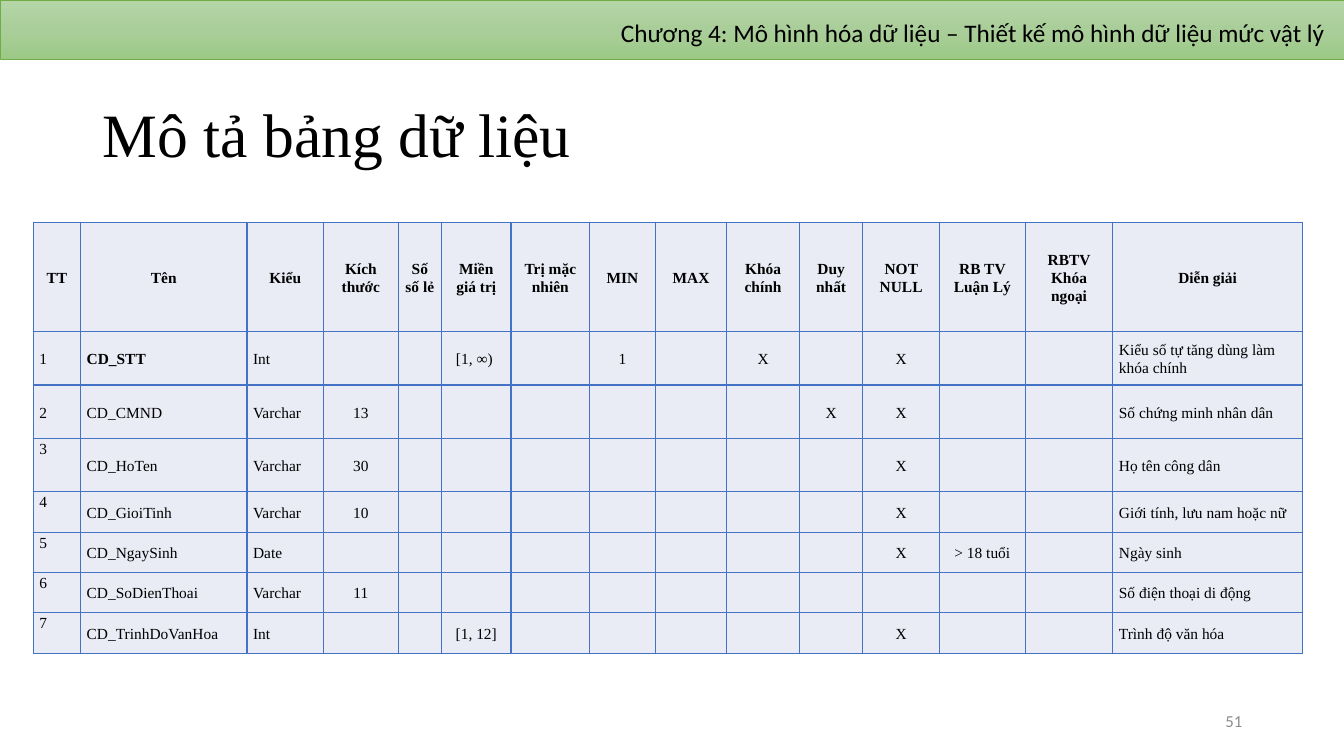
from copy import deepcopy
from dataclasses import dataclass
from typing import Any, NamedTuple

from lxml import etree
from pptx import Presentation
from pptx.dml.color import RGBColor
from pptx.enum.shapes import MSO_SHAPE
from pptx.enum.text import MSO_ANCHOR, PP_ALIGN
from pptx.oxml.ns import qn
from pptx.slide import Slide
from pptx.table import _Cell
from pptx.text.text import TextFrame
from pptx.util import Inches, Pt

LEFT, CENTER, RIGHT = PP_ALIGN.LEFT, PP_ALIGN.CENTER, PP_ALIGN.RIGHT
TOP, MIDDLE = MSO_ANCHOR.TOP, MSO_ANCHOR.MIDDLE
RECTANGLE = MSO_SHAPE.RECTANGLE


@dataclass(frozen=True)
class Theme:
    text: str = "000000"
    number: str = "8C8C8C"
    bar_stops: tuple[str, ...] = ("B5D5A7", "AACE9A", "9CC987")
    bar_line: str = "70AD47"
    cell: str = "E9EBF5"
    border: str = "4472C4"
    serif: str = "Times New Roman"
    sans: str = "Calibri"
    title_size: float = 44
    chapter_size: float = 18
    number_size: float = 12
    cell_size: float = 11


THEME = Theme()


class Column(NamedTuple):
    field: str
    heading: str
    width: float
    align: PP_ALIGN = CENTER


@dataclass(frozen=True)
class Field:
    name: str
    kind: str
    note: str
    size: str = ""
    domain: str = ""
    minimum: str = ""
    key: str = ""
    unique: str = ""
    required: str = "X"
    rule: str = ""


class Label(NamedTuple):
    text: str
    box: tuple[float, float, float, float]
    font: str
    size: float
    color: str
    align: PP_ALIGN
    anchor: MSO_ANCHOR
    spacing: float = 1.0


COLUMNS = (
    Column("order", "TT", 0.47, LEFT),
    Column("name", "Tên", 1.65, LEFT),
    Column("kind", "Kiểu", 0.76, LEFT),
    Column("size", "Kích thước", 0.74),
    Column("decimals", "Số số lẻ", 0.43),
    Column("domain", "Miền giá trị", 0.69),
    Column("default", "Trị mặc nhiên", 0.78),
    Column("minimum", "MIN", 0.65),
    Column("maximum", "MAX", 0.71),
    Column("key", "Khóa chính", 0.72),
    Column("unique", "Duy nhất", 0.63),
    Column("required", "NOT NULL", 0.76),
    Column("rule", "RB TV Luận Lý", 0.85),
    Column("foreign", "RBTV Khóa ngoại", 0.87),
    Column("note", "Diễn giải", 1.88, LEFT),
)
FIELDS = (
    Field("CD_STT", "Int", "Kiểu số tự tăng dùng làm khóa chính",
          domain="[1, ∞) ", minimum="1", key="X"),
    Field("CD_CMND", "Varchar", "Số chứng minh nhân dân", size="13", unique="X"),
    Field("CD_HoTen", "Varchar", "Họ tên công dân", size="30"),
    Field("CD_GioiTinh", "Varchar", "Giới tính, lưu nam hoặc nữ", size="10"),
    Field("CD_NgaySinh", "Date", "Ngày sinh", rule="> 18 tuổi"),
    Field("CD_SoDienThoai", "Varchar", "Số điện thoại di động", size="11", required=""),
    Field("CD_TrinhDoVanHoa", "Int", "Trình độ văn hóa", domain="[1, 12]"),
)
ROW_HEIGHTS = (1.08, *[0.53] * 3, *[0.4] * 4)
LABELS = (
    Label("Mô tả bảng dữ liệu", (0.92, 0.88, 11.5, 0.97), THEME.serif,
          THEME.title_size, THEME.text, LEFT, MIDDLE, 0.9),
    Label("51", (9.42, 6.95, 3, 0.4), THEME.sans,
          THEME.number_size, THEME.number, RIGHT, MIDDLE),
    Label("Chương 4: Mô hình hóa dữ liệu – Thiết kế mô hình dữ liệu mức vật lý",
          (5.77, 0.12, 7.47, 0.4), THEME.sans,
          THEME.chapter_size, THEME.text, RIGHT, TOP),
)
CELL_FORMAT = {
    "margin_left": Inches(0.06),
    "margin_right": Inches(0.06),
    "margin_top": Inches(0.01),
    "margin_bottom": 0,
}


def rgb(color: str) -> RGBColor:
    return RGBColor.from_string(color)


def apply(target: Any, values: dict[str, Any]) -> None:
    for name, value in values.items():
        setattr(target, name, value)


def write(tf: TextFrame, text: str, paragraph: dict[str, Any],
          font: dict[str, Any], color: str) -> None:
    p = tf.paragraphs[0]
    apply(p, paragraph)
    r = p.add_run()
    r.text = text
    apply(r.font, font)
    r.font.color.rgb = rgb(color)


def add_bar(s: Slide) -> None:
    sp = s.shapes.add_shape(RECTANGLE, 0, 0, Inches(13.33), Inches(0.59))
    sp.shadow.inherit = False
    sp.fill.gradient()
    sp.fill.gradient_angle = 270
    first = sp._element.spPr.find(".//" + qn("a:gs"))
    first.addnext(deepcopy(first))
    for i, (stop, color) in enumerate(zip(sp.fill.gradient_stops, THEME.bar_stops)):
        stop.position = i / 2
        stop.color.rgb = rgb(color)
    sp.line.color.rgb = rgb(THEME.bar_line)
    sp.line.width = Pt(0.5)


def add_label(s: Slide, label: Label) -> None:
    tf = s.shapes.add_textbox(*map(Inches, label.box)).text_frame
    apply(tf, {"word_wrap": True, "vertical_anchor": label.anchor})
    write(tf, label.text, {"alignment": label.align, "line_spacing": label.spacing},
          {"name": label.font, "size": Pt(label.size)}, label.color)


def add_borders(cell: _Cell) -> None:
    tc_pr = cell._tc.get_or_add_tcPr()
    for side in ("a:lnL", "a:lnR", "a:lnT", "a:lnB"):
        line = etree.SubElement(tc_pr, qn(side), w=str(Pt(1)))
        fill = etree.SubElement(line, qn("a:solidFill"))
        etree.SubElement(fill, qn("a:srgbClr"), val=THEME.border)


def fill_cell(cell: _Cell, text: str, align: PP_ALIGN, bold: bool, anchor: MSO_ANCHOR) -> None:
    apply(cell, CELL_FORMAT | {"vertical_anchor": anchor})
    add_borders(cell)
    cell.fill.solid()
    cell.fill.fore_color.rgb = rgb(THEME.cell)
    if text:
        write(cell.text_frame, text,
              {"alignment": align, "line_spacing": 1.07, "space_after": Pt(8)},
              {"name": THEME.serif, "size": Pt(THEME.cell_size), "bold": bold}, THEME.text)


def add_field_table(s: Slide) -> None:
    table = s.shapes.add_table(len(ROW_HEIGHTS), len(COLUMNS), Inches(0.33), Inches(2.21),
                               Inches(12.6), Inches(sum(ROW_HEIGHTS))).table
    apply(table, {"first_row": False, "horz_banding": False})
    for row, height in zip(table.rows, ROW_HEIGHTS):
        row.height = Inches(height)
    for c, column in enumerate(COLUMNS):
        table.columns[c].width = Inches(column.width)
        fill_cell(table.cell(0, c), column.heading, CENTER, True, MIDDLE)
        for order, field in enumerate(FIELDS, start=1):
            is_order = column.field == "order"
            text = str(order) if is_order else getattr(field, column.field, "")
            bold = column.field == "name" and bool(field.key)
            anchor = TOP if is_order and order > 2 else MIDDLE
            fill_cell(table.cell(order, c), text, column.align, bold, anchor)


def main() -> None:
    prs = Presentation()
    apply(prs, {"slide_width": Inches(13.33), "slide_height": Inches(7.5)})
    s = prs.slides.add_slide(prs.slide_layouts[6])
    add_bar(s)
    add_field_table(s)
    for label in LABELS:
        add_label(s, label)
    prs.save("out.pptx")


if __name__ == "__main__":
    main()
